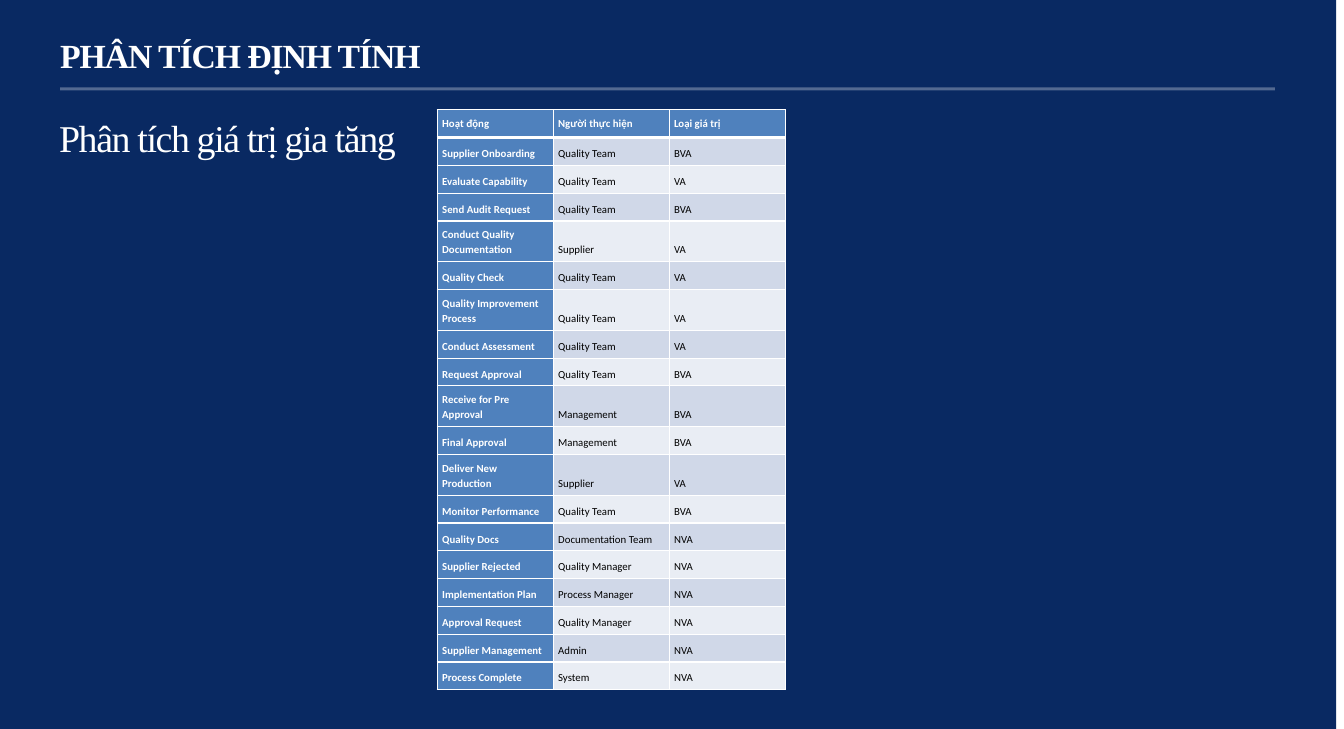
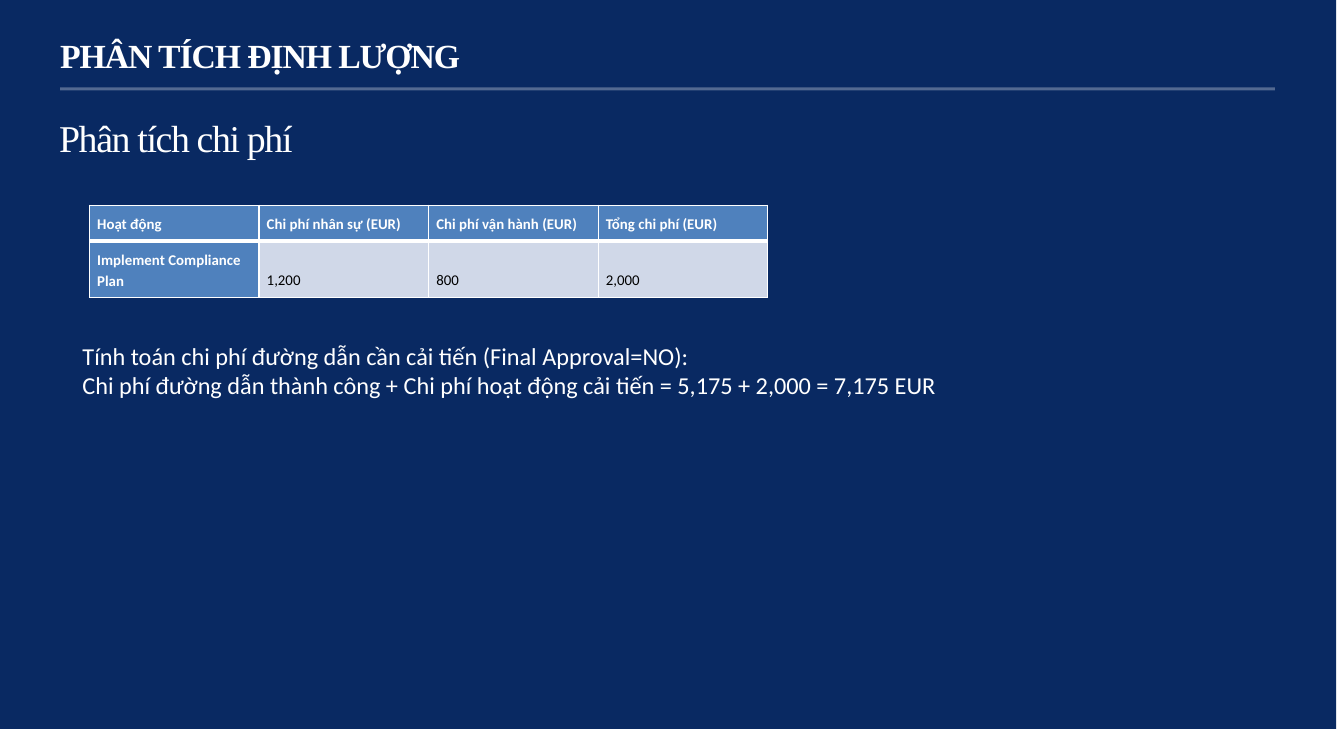
from dataclasses import dataclass

from lxml.etree import SubElement
from pptx import Presentation
from pptx.dml.color import RGBColor
from pptx.enum.shapes import MSO_SHAPE
from pptx.enum.text import MSO_ANCHOR, MSO_AUTO_SIZE, PP_ALIGN
from pptx.oxml.ns import qn
from pptx.util import Inches, Pt

COLORS = {
    "navy": "092962",
    "white": "FFFFFF",
    "black": "000000",
    "blue": "4F81BD",
    "odd_row": "D0D8E8",
    "even_row": "E9EDF4",
}
SERIF, SANS = "Times New Roman", "Calibri"


@dataclass(frozen=True)
class Box:
    left: float
    top: float
    width: float
    height: float

    def lengths(self) -> tuple:
        return tuple(Inches(value) for value in (self.left, self.top, self.width, self.height))


@dataclass(frozen=True)
class TableSpec:
    box: Box
    rows: list[tuple[str, ...]]
    size: float
    padding: float
    tall_rows: tuple[int, ...]
    tall_height: float


ACTIVITY_TABLE = TableSpec(
    Box(4.5, 1.13, 3.58, 5.97),
    [
        ("Hoạt động", "Người thực hiện", "Loại giá trị"),
        ("Supplier Onboarding", "Quality Team", "BVA"),
        ("Evaluate Capability", "Quality Team", "VA"),
        ("Send Audit Request", "Quality Team", "BVA"),
        ("Conduct Quality Documentation", "Supplier", "VA"),
        ("Quality Check", "Quality Team", "VA"),
        ("Quality Improvement Process", "Quality Team", "VA"),
        ("Conduct Assessment", "Quality Team", "VA"),
        ("Request Approval", "Quality Team", "BVA"),
        ("Receive for Pre Approval", "Management", "BVA"),
        ("Final Approval", "Management", "BVA"),
        ("Deliver New Production", "Supplier", "VA"),
        ("Monitor Performance", "Quality Team", "BVA"),
        ("Quality Docs", "Documentation Team", "NVA"),
        ("Supplier Rejected", "Quality Manager", "NVA"),
        ("Implementation Plan", "Process Manager", "NVA"),
        ("Approval Request", "Quality Manager", "NVA"),
        ("Supplier Management", "Admin", "NVA"),
        ("Process Complete", "System", "NVA"),
    ],
    size=8, padding=0.05, tall_rows=(4, 6, 9, 11), tall_height=0.42,
)
COST_TABLE = TableSpec(
    Box(0.92, 2.11, 6.98, 0.93),
    [
        ("Hoạt động", "Chi phí nhân sự (EUR)", "Chi phí vận hành (EUR)", "Tổng chi phí (EUR)"),
        ("Implement Compliance Plan", "1,200", "800", "2,000"),
    ],
    size=11, padding=0.08, tall_rows=(1,), tall_height=0.58,
)
COST_NOTE = (
    "Tính toán chi phí đường dẫn cần cải tiến (Final Approval=NO):\n"
    "Chi phí đường dẫn thành công + Chi phí hoạt động cải tiến = 5,175 + 2,000 = 7,175 EUR"
)


def rgb(name: str) -> RGBColor:
    return RGBColor.from_string(COLORS[name])


def write_text(frame, text: str, *, size: float, font: str = SANS, color: str = "white",
               bold: bool = False, tracking: float = 0, indent: float = 0,
               before: float = 0, after: float = 0, line_spacing: float = 1) -> None:
    """Fill a text frame, one paragraph for each line of text."""
    frame.word_wrap = True
    frame.text = text
    for paragraph in frame.paragraphs:
        paragraph.alignment = PP_ALIGN.LEFT
        paragraph.space_before, paragraph.space_after = Pt(before), Pt(after)
        paragraph.line_spacing = line_spacing
        paragraph._p.get_or_add_pPr().set("marL", str(Inches(indent)))
        for run in paragraph.runs:
            run.font.name, run.font.size, run.font.bold = font, Pt(size), bold
            run.font.color.rgb = rgb(color)
            run._r.get_or_add_rPr().set("spc", str(round(tracking * 100)))


def add_text_box(slide, box: Box, text: str, **text_format) -> None:
    frame = slide.shapes.add_textbox(*box.lengths()).text_frame
    write_text(frame, text, **text_format)
    frame.auto_size = MSO_AUTO_SIZE.SHAPE_TO_FIT_TEXT


def add_layout_band(slide, order: int, box: Box, color: str, opacity: int = 100) -> None:
    """Draw a plain rectangle and place it behind the layout's placeholders."""
    shape = slide.shapes.add_shape(MSO_SHAPE.RECTANGLE, *box.lengths())
    shape.shadow.inherit = False
    shape.line.fill.background()
    shape.fill.solid()
    shape.fill.fore_color.rgb = rgb(color)
    if opacity < 100:
        fill_color = shape._element.spPr.find(qn("a:solidFill")).find(qn("a:srgbClr"))
        SubElement(fill_color, qn("a:alpha")).set("val", str(opacity * 1000))
    shape._element.nvSpPr.cNvPr.set("id", str(100 + order))
    slide.slide_layout._element.cSld.spTree.insert(2 + order, shape._element)


def add_heading(slide, title: str, subtitle: str) -> None:
    placeholder = slide.shapes.title
    placeholder.left, placeholder.top, placeholder.width, placeholder.height = (
        Box(0.61, 0.35, 6.24, 0.45).lengths())
    frame = placeholder.text_frame
    frame.margin_left = frame.margin_right = frame.margin_bottom = 0
    frame.margin_top = Inches(0.01)
    frame.vertical_anchor = MSO_ANCHOR.TOP
    write_text(frame, title, size=25, font=SERIF, bold=True, tracking=-0.8,
               indent=0.01, before=1)
    frame.auto_size = MSO_AUTO_SIZE.SHAPE_TO_FIT_TEXT
    add_text_box(slide, Box(0.5, 1.13, 6.92, 0.57), subtitle, size=28, font=SERIF,
                 tracking=-1, indent=0.01, before=10.4)


def set_borders(cell, top: float, bottom: float) -> None:
    properties = cell._tc.get_or_add_tcPr()
    for side, width in (("L", 1), ("R", 1), ("T", top), ("B", bottom)):
        line = SubElement(properties, qn(f"a:ln{side}"), w=str(Pt(width)))
        fill = SubElement(line, qn("a:solidFill"))
        SubElement(fill, qn("a:srgbClr"), val=COLORS["white"])


def add_value_table(slide, spec: TableSpec) -> None:
    row_count, column_count = len(spec.rows), len(spec.rows[0])
    table = slide.shapes.add_table(row_count, column_count, *spec.box.lengths()).table
    tall_count = len(spec.tall_rows)
    short_height = (spec.box.height - tall_count * spec.tall_height) / (row_count - tall_count)
    for column in table.columns:
        column.width = Inches(spec.box.width / column_count)
    for row_index, texts in enumerate(spec.rows):
        is_tall = row_index in spec.tall_rows
        table.rows[row_index].height = Inches(spec.tall_height if is_tall else short_height)
        for column_index, text in enumerate(texts):
            cell = table.cell(row_index, column_index)
            is_header = row_index == 0
            is_label = is_header or column_index == 0
            # The header is set off by a thick rule
            set_borders(cell, top=3 if row_index == 1 else 1, bottom=3 if is_header else 1)
            band = "odd_row" if row_index % 2 else "even_row"
            cell.fill.solid()
            cell.fill.fore_color.rgb = rgb("blue" if is_label else band)
            cell.margin_left = cell.margin_right = Inches(spec.padding)
            cell.margin_top = cell.margin_bottom = Inches(spec.padding)
            cell.vertical_anchor = MSO_ANCHOR.TOP if is_header else MSO_ANCHOR.BOTTOM
            write_text(cell.text_frame, text, size=spec.size, bold=is_label,
                       color="white" if is_label else "black", after=8, line_spacing=1.15)


def main() -> None:
    presentation = Presentation()
    presentation.slide_width, presentation.slide_height = Inches(13.83), Inches(7.5)
    layout = presentation.slide_layouts.get_by_name("Title Only")

    # Qualitative analysis
    slide = presentation.slides.add_slide(layout)
    add_layout_band(slide, 0, Box(0, 0, 13.75, 7.5), "navy")
    add_layout_band(slide, 1, Box(0.62, 0.9, 12.5, 0.03), "white", opacity=30)
    add_heading(slide, "PHÂN TÍCH ĐỊNH TÍNH", "Phân tích giá trị gia tăng")
    add_value_table(slide, ACTIVITY_TABLE)

    # Quantitative analysis
    slide = presentation.slides.add_slide(layout)
    add_heading(slide, "PHÂN TÍCH ĐỊNH LƯỢNG", "Phân tích chi phí")
    add_text_box(slide, Box(0.75, 3.46, 11.75, 0.71), COST_NOTE, size=18)
    add_value_table(slide, COST_TABLE)

    presentation.save("out.pptx")


if __name__ == "__main__":
    main()
